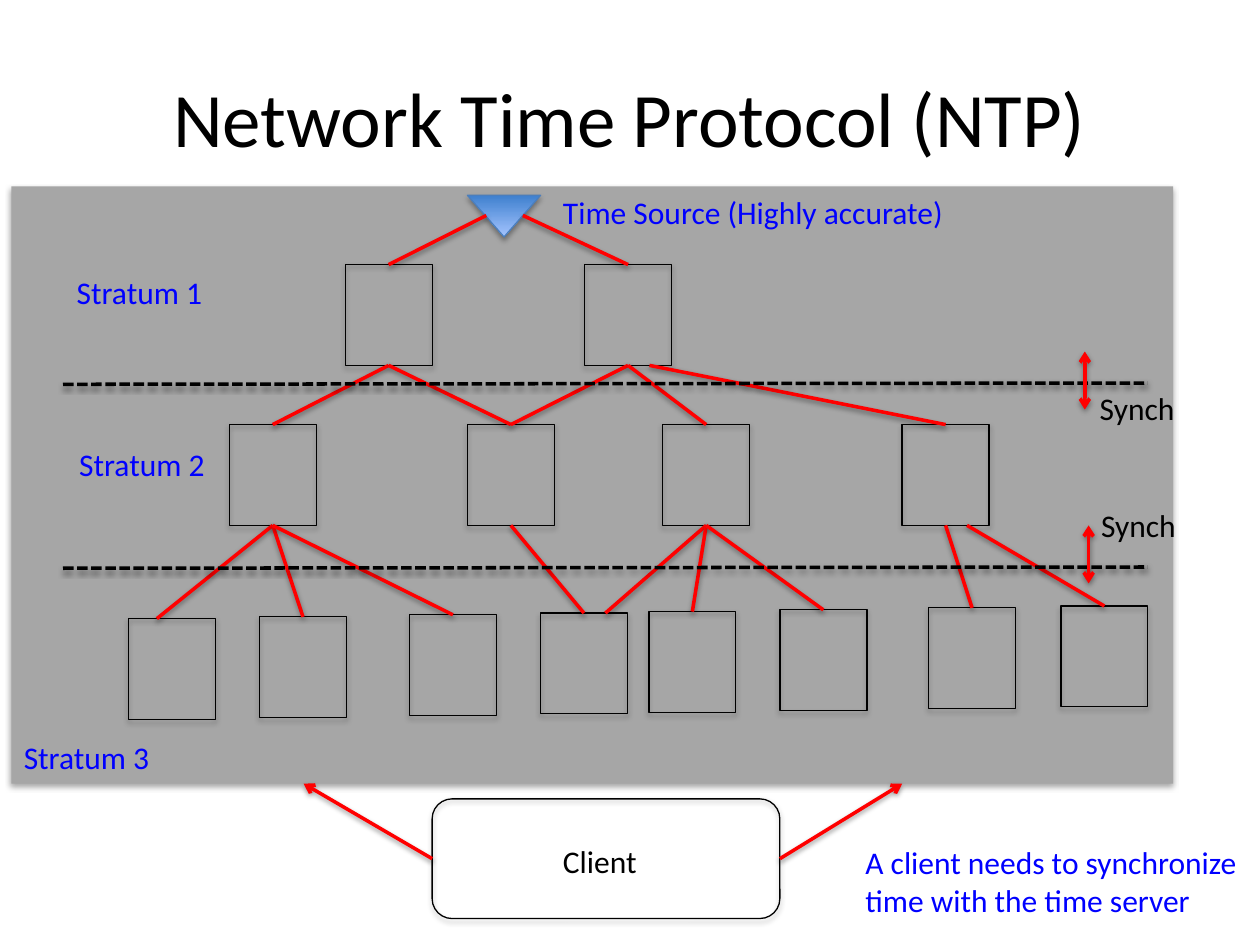
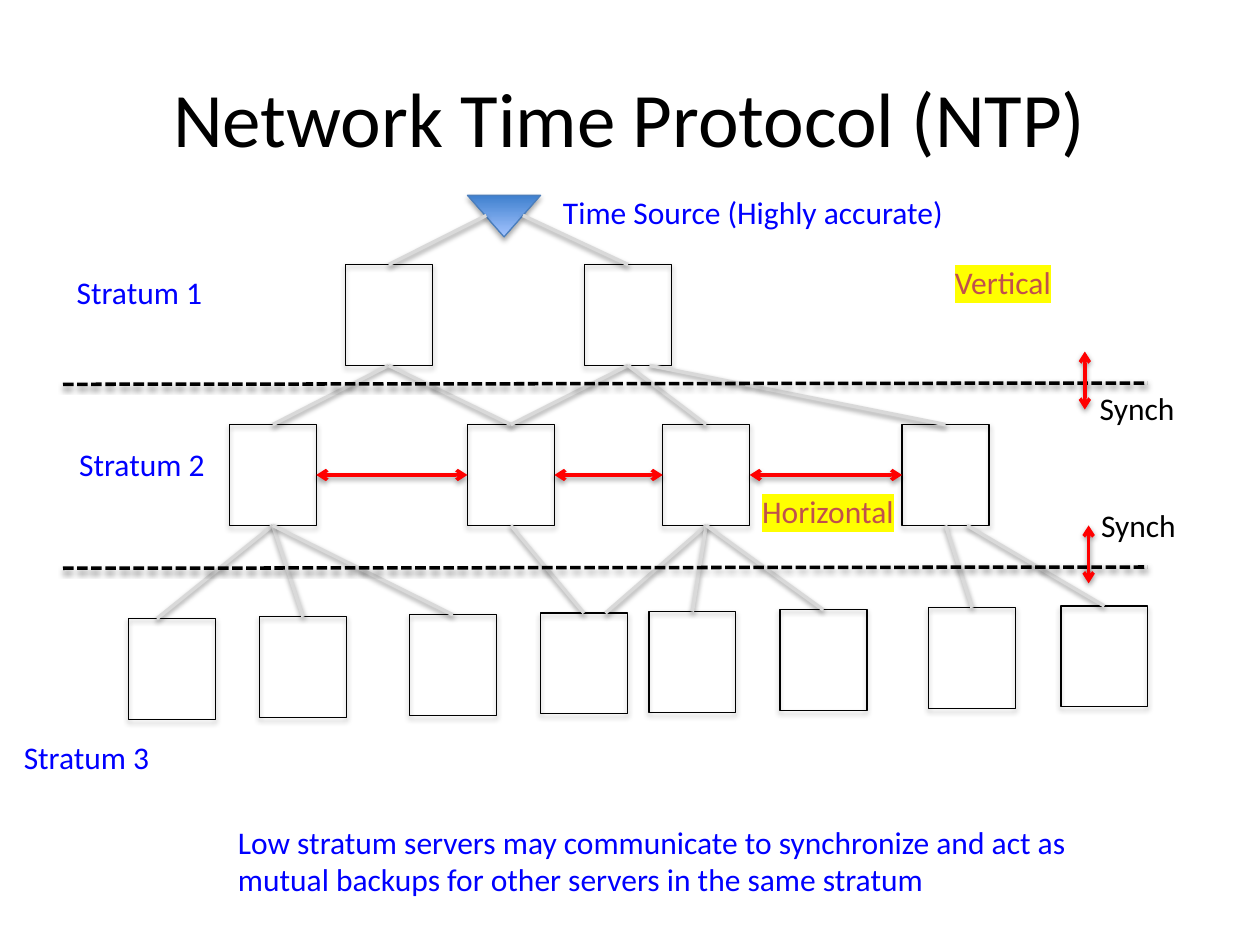
from pptx import Presentation
from pptx.dml.color import RGBColor
from pptx.enum import dml, shapes, text
from pptx.oxml.ns import qn
from pptx.oxml.xmlchemy import OxmlElement
from pptx.util import Inches, Pt

BLACK = RGBColor(0x00, 0x00, 0x00)
BLUE = RGBColor(0x00, 0x00, 0xFF)
RED = RGBColor(0xFF, 0x00, 0x00)
BRICK = RGBColor(0xC0, 0x50, 0x4D)
YELLOW = RGBColor(0xFF, 0xFF, 0x00)
GREY = RGBColor(0xA6, 0xA6, 0xA6)
PALE = RGBColor(0xD9, 0xD9, 0xD9)
SKY = (RGBColor(0x3F, 0x80, 0xCE), RGBColor(0xA4, 0xC4, 0xFF))
EDGE = RGBColor(0x4B, 0x7E, 0xBC)

FONT = "Calibri"
TOP, LEFT, BOTTOM, RIGHT = range(4)
SHAPE = shapes.MSO_SHAPE

WIDE, HIGH = 0.69, 0.8
SLOPE = 0.0135  # the lowest row of servers rises slightly to the right
ROWS = [
    [(x, 2.1) for x in (2.74, 4.64)],
    [(x, 3.37) for x in (1.82, 3.71, 5.26, 7.16)],
    [(x, 4.91 - SLOPE * (x - 1.02))
     for x in (1.02, 2.06, 3.25, 4.29, 5.15, 6.19, 7.37, 8.42)],
]
# upper row, upper server, lower server, shift of upper end, shift of lower end
LINKS = [
    (0, 0, 0, 0, 0), (0, 0, 1, 0, 0), (0, 1, 1, 0, 0), (0, 1, 2, 0, 0),
    (0, 1, 3, 0.17, 0),
    (1, 0, 0, 0, -0.12), (1, 0, 1, 0, 0), (1, 0, 2, 0, 0), (1, 1, 3, 0, 0),
    (1, 2, 3, 0, 0.17), (1, 2, 4, 0, 0), (1, 2, 5, 0, 0),
    (1, 3, 6, 0, 0), (1, 3, 7, 0.17, 0),
]


def make(parent, tag, **attrs):
    node = OxmlElement(tag)
    for key, value in attrs.items():
        node.set(key, str(value))
    parent.append(node)
    return node


def shade(item, alpha, drop):
    """Give a shape or connector a soft shadow that falls straight down."""
    effects = make(item._element.spPr, "a:effectLst")
    outer = make(effects, "a:outerShdw", blurRad=Pt(3.1), dist=Pt(drop),
                 dir=90 * 60000, rotWithShape=0)
    tint = make(outer, "a:srgbClr", val=BLACK)
    make(tint, "a:alpha", val=alpha * 1000)


def block(slide, kind, box, fill=None, edge=BLACK):
    item = slide.shapes.add_shape(kind, *map(Inches, box))
    if fill is None:
        item.fill.background()
    else:
        item.fill.solid()
        item.fill.fore_color.rgb = fill
    if edge is None:
        item.line.fill.background()
    else:
        item.line.color.rgb = edge
        item.line.width = Pt(0.75)
    shade(item, 35, 1.8)
    return item


def spot(item, site, shift=0):
    """Return a joint (shape, site), or a point when shifted off the middle."""
    if not shift:
        return item, site
    y = item.top if site == TOP else item.top + item.height
    return (item.left + item.width // 2) / Inches(1) + shift, y / Inches(1)


def line(slide, start, end, color, arrows=(), dash=None):
    """Draw a line; each end is a point in inches or a (shape, site) joint."""
    joints = [not isinstance(e[0], (int, float)) for e in (start, end)]
    points = [(0, 0) if j else e for j, e in zip(joints, (start, end))]
    link = slide.shapes.add_connector(
        shapes.MSO_CONNECTOR.STRAIGHT,
        *(Inches(n) for point in points for n in point))
    if joints[0]:
        link.begin_connect(*start)
    if joints[1]:
        link.end_connect(*end)
    link.line.color.rgb = color
    link.line.width = Pt(2)
    if dash:
        link.line.dash_style = dash
    for tag in arrows:
        make(link.line._get_or_add_ln(), tag, type="arrow")
    shade(link, 38, 1.6)


def double(slide, start, end):
    line(slide, start, end, RED, ("a:headEnd", "a:tailEnd"))


def label(slide, words, box, color=BLUE, wrap=False, mark=None):
    frame = slide.shapes.add_textbox(*map(Inches, box)).text_frame
    frame.word_wrap = wrap
    frame.auto_size = text.MSO_AUTO_SIZE.SHAPE_TO_FIT_TEXT
    frame.text = words
    for para in frame.paragraphs:
        for run in para.runs:
            run.font.size = Pt(18)
            run.font.name = FONT
            run.font.color.rgb = color
            if mark:
                props = run.font._element
                light = make(props, "a:highlight")
                make(light, "a:srgbClr", val=mark)
                props.find(qn("a:solidFill")).addnext(light)


def start_slide(deck):
    slide = deck.slides.add_slide(deck.slide_layouts[5])
    title = slide.shapes.title
    title.left, title.top = Inches(0.5), Inches(0.3)
    title.width, title.height = Inches(9), Inches(1.25)
    frame = title.text_frame
    frame.text = "Network Time Protocol (NTP)"
    frame.vertical_anchor = text.MSO_ANCHOR.MIDDLE
    para = frame.paragraphs[0]
    para.alignment = text.PP_ALIGN.CENTER
    font = para.runs[0].font
    font.size, font.name = Pt(44), FONT
    font.color.rgb = BLACK
    return slide


def draw_source(slide):
    source = block(slide, SHAPE.ISOSCELES_TRIANGLE,
                   (3.71, 1.55, 0.58, 0.33), edge=EDGE)
    source.rotation = 180
    source.fill.gradient()
    source.fill.gradient_angle = 90
    for stop, color in zip(source.fill.gradient_stops, SKY):
        stop.color.rgb = color


def draw_tree(slide, color):
    """Draw the servers of all strata with their links; return the servers."""
    rows = [[block(slide, SHAPE.RECTANGLE, (x, y, WIDE, HIGH)) for x, y in row]
            for row in ROWS]
    for row, upper, lower, out, into in LINKS:
        line(slide, spot(rows[row][upper], BOTTOM, out),
             spot(rows[row + 1][lower], TOP, into), color)
    draw_source(slide)
    for x, server in zip((3.86, 4.15), rows[0]):
        line(slide, (x, 1.71), (server, TOP), color)
    label(slide, "Time Source (Highly accurate)", (4.37, 1.48, 3.26, 0.4))
    for y in (3.05, 4.51):
        line(slide, (0.5, y), (9.11, y - 0.01), BLACK,
             dash=dml.MSO_LINE.SQUARE_DOT)
    for level, (x, y) in enumerate([(0.51, 2.12), (0.53, 3.48), (0.09, 5.81)], 1):
        label(slide, f"Stratum {level}", (x, y, 1.22, 0.4))
    return rows


def draw_synch(slide):
    for x, y in ((8.61, 3.25), (8.64, 4.63)):
        double(slide, (x, y), (x, y - 0.46))
    for x, y in ((8.63, 3.04), (8.64, 3.97)):
        label(slide, "Synch", (x, y, 0.8, 0.4), BLACK)


def client_slide(deck):
    slide = start_slide(deck)
    block(slide, SHAPE.RECTANGLE, (0.09, 1.48, 9.22, 4.74), GREY, None)
    draw_tree(slide, RED)
    client = block(slide, SHAPE.ROUNDED_RECTANGLE, (3.43, 6.34, 2.76, 0.95))
    label(slide, "Client", (4.37, 6.63, 0.8, 0.4), BLACK)
    for site, x in ((LEFT, 2.41), (RIGHT, 7.16)):
        line(slide, (client, site), (x, 6.22), RED, ("a:tailEnd",))
    label(slide, "A client needs to synchronize\ntime with the time server",
          (6.77, 6.64, 3.2, 0.71))
    draw_synch(slide)


def backup_slide(deck):
    slide = start_slide(deck)
    peers = draw_tree(slide, PALE)[1]
    label(slide, "Low stratum servers may communicate to synchronize and act as "
          "mutual backups for other servers in the same stratum",
          (1.79, 6.48, 7.49, 0.71), wrap=True)
    for near, far in zip(peers, peers[1:]):
        double(slide, (far, LEFT), (near, RIGHT))
    draw_synch(slide)
    for words, x, y in (("Vertical", 7.48, 2.04), ("Horizontal", 5.95, 3.86)):
        label(slide, words, (x, y, 2.11, 0.4), BRICK, True, YELLOW)


def main():
    deck = Presentation()
    deck.slide_width, deck.slide_height = Inches(10), Inches(7.5)
    client_slide(deck)
    backup_slide(deck)
    deck.save("out.pptx")


if __name__ == "__main__":
    main()
